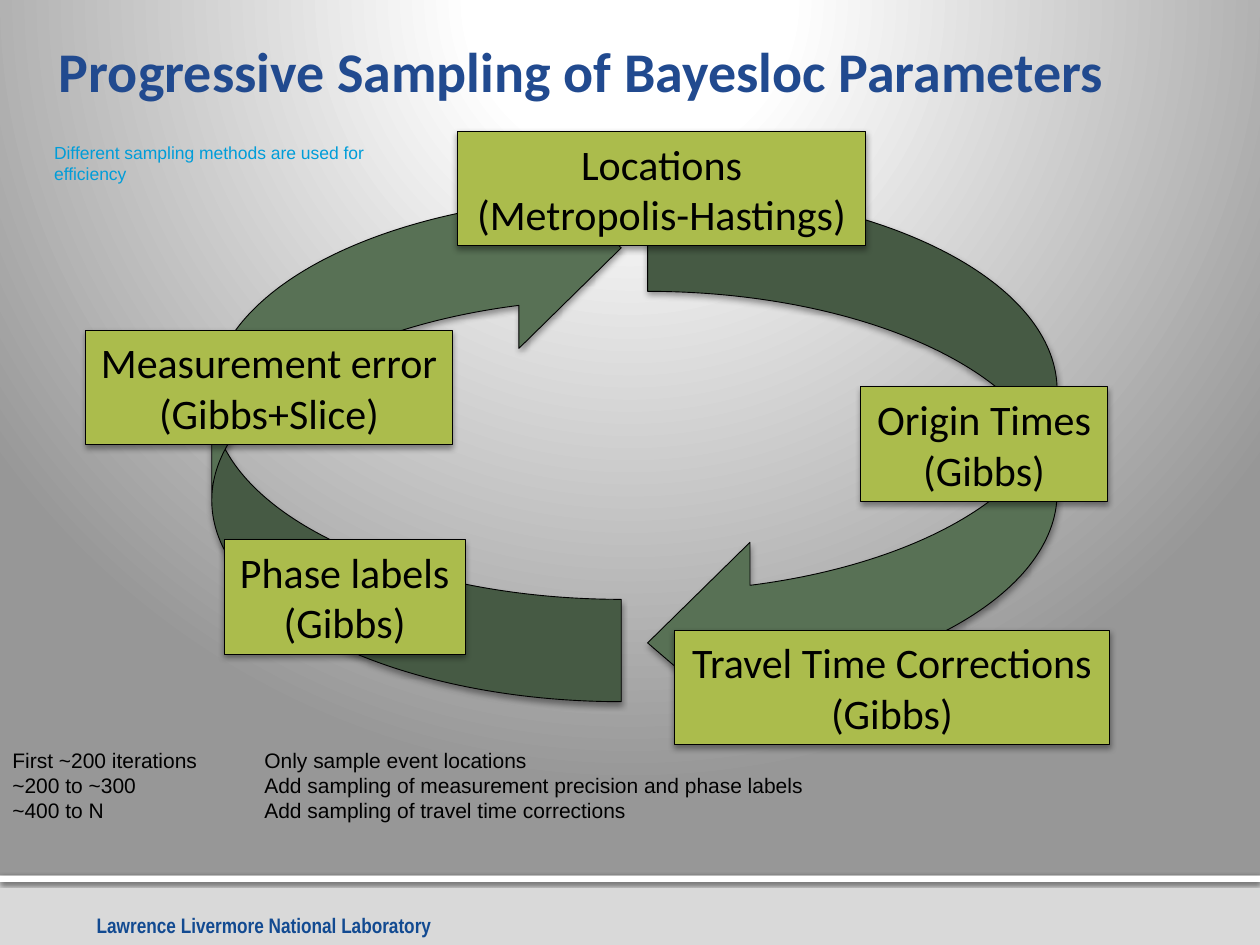
import dataclasses

import lxml.etree
import pptx
import pptx.dml.color
import pptx.enum.shapes
import pptx.enum.text
import pptx.oxml
import pptx.oxml.ns
import pptx.util

Pt = pptx.util.Pt
SHAPE = pptx.enum.shapes.MSO_SHAPE
ALIGN = pptx.enum.text.PP_ALIGN
ANCHOR = pptx.enum.text.MSO_ANCHOR
qn = pptx.oxml.ns.qn


@dataclasses.dataclass(frozen=True)
class Theme:
    title: str = "214A8F"
    footer: str = "124A91"
    note: str = "009DD9"
    ink: str = "000000"
    arrow: str = "587155"
    step: str = "ABBC4C"
    band: str = "D9D9D9"
    rule: str = "FFFFFF"
    glow: str = "FFFFFF"
    edge: str = "979797"
    title_size: float = 32
    step_size: float = 24
    body_size: float = 12
    note_size: float = 10
    outline: float = 0.5


THEME = Theme()
# Shadow settings: opacity in percent, blur and distance in points
SOFT_SHADOW = (38, 3.5, 2)
BAND_SHADOW = (38, 3.1, 2)
RULE_SHADOW = (60, 2.5, 0.8)

STEPS = [
    ("Locations\n(Metropolis-Hastings)", (261.4, 74.9, 233.3, 65.5)),
    ("Origin Times\n(Gibbs)", (491.8, 221, 141.1, 65.5)),
    ("Travel Time Corrections\n(Gibbs)", (385.2, 360, 249.1, 65.5)),
    ("Measurement error\n(Gibbs+Slice)", (49, 188.6, 209.5, 65.5)),
    ("Phase labels\n(Gibbs)", (128.2, 308.2, 137.5, 65.5)),
]
SCHEDULE = [
    ("First ~200 iterations", "Only sample event locations"),
    ("~200 to ~300", "Add sampling of measurement precision and phase labels"),
    ("~400 to N", "Add sampling of travel time corrections"),
]


def rgb(value):
    return pptx.dml.color.RGBColor.from_string(value)


def set_background(page):
    """Give the page a round gradient centred above its top edge."""
    stops = "".join(
        f'<a:gs pos="{position}"><a:srgbClr val="{color}"/></a:gs>'
        for position, color in [(0, THEME.glow), (20000, THEME.glow), (100000, THEME.edge)]
    )
    background = pptx.oxml.parse_xml(
        f'<p:bg {pptx.oxml.ns.nsdecls("p", "a")}><p:bgPr><a:gradFill rotWithShape="1">'
        f'<a:gsLst>{stops}</a:gsLst><a:path path="circle">'
        '<a:fillToRect l="10000" t="-25000" r="10000" b="125000"/></a:path>'
        "</a:gradFill><a:effectLst/></p:bgPr></p:bg>"
    )
    page.element.find(qn("p:cSld")).insert(0, background)


def add_shadow(shape, opacity, blur, distance):
    """Drop a black shadow straight down."""
    shape.shadow.inherit = False
    effects = shape.element.spPr.find(qn("a:effectLst"))
    shadow = lxml.etree.SubElement(
        effects, qn("a:outerShdw"), blurRad=str(Pt(blur)), dist=str(Pt(distance)),
        dir="5400000", rotWithShape="0",
    )
    color = lxml.etree.SubElement(shadow, qn("a:srgbClr"), val=THEME.ink)
    lxml.etree.SubElement(color, qn("a:alpha"), val=str(opacity * 1000))


def add_solid(page, kind, place, fill, shadow, outlined=True):
    shape = page.shapes.add_shape(kind, *map(Pt, place))
    shape.fill.solid()
    shape.fill.fore_color.rgb = rgb(fill)
    if outlined:
        shape.line.color.rgb = rgb(THEME.ink)
        shape.line.width = Pt(THEME.outline)
    else:
        shape.line.fill.background()
    add_shadow(shape, *shadow)
    return shape


def add_arrow(page, place, flip):
    arrow = add_solid(page, SHAPE.CURVED_RIGHT_ARROW, place, THEME.arrow, SOFT_SHADOW)
    for index, value in enumerate((0.25, 0.46, 0.25)):
        arrow.adjustments[index] = value
    arrow.element.spPr.find(qn("a:xfrm")).set(flip, "1")


def write(shape, text, font, size, color, bold=False, align=ALIGN.LEFT):
    shape.text_frame.text = text
    for para in shape.text_frame.paragraphs:
        para.alignment = align
        for span in para.runs:
            span.font.name = font
            span.font.size = Pt(size)
            span.font.bold = bold
            span.font.color.rgb = rgb(color)


def add_step(page, text, place):
    step = add_solid(page, SHAPE.RECTANGLE, place, THEME.step, SOFT_SHADOW)
    step.text_frame.word_wrap = False
    write(step, text, "Calibri", THEME.step_size, THEME.ink, align=ALIGN.CENTER)


def add_text(page, place, text, *style, anchor=ANCHOR.TOP, **options):
    box = page.shapes.add_textbox(*map(Pt, place))
    box.text_frame.word_wrap = True
    box.text_frame.vertical_anchor = anchor
    write(box, text, *style, **options)
    return box


def add_schedule(page):
    """List iteration ranges and what each one samples, aligned by a tab stop."""
    text = "\n".join("\t".join(row) for row in SCHEDULE)
    box = add_text(page, (0, 423.4, 655.2, 80), text, "Arial", THEME.body_size, THEME.ink)
    for para in box.text_frame.paragraphs:
        properties = para._p.get_or_add_pPr()
        tabs = lxml.etree.SubElement(properties, qn("a:tabLst"))
        lxml.etree.SubElement(tabs, qn("a:tab"), pos=str(Pt(144)), algn="l")


def add_footer(page):
    add_solid(page, SHAPE.RECTANGLE, (0, 500.4, 720, 39.6), THEME.band, BAND_SHADOW, False)
    add_solid(page, SHAPE.RECTANGLE, (0, 500.4, 720, 3.6), THEME.rule, RULE_SHADOW, False)
    add_text(page, (48.2, 517.7, 240.5, 21.6), "Lawrence Livermore National Laboratory",
             "Arial Narrow", THEME.body_size, THEME.footer, bold=True)


def main():
    deck = pptx.Presentation()
    deck.slide_width, deck.slide_height = Pt(720), Pt(540)
    page = deck.slides.add_slide(deck.slide_layouts[6])
    set_background(page)
    add_footer(page)
    add_arrow(page, (370.1, 108, 234, 313.2), "flipH")
    add_arrow(page, (121, 87.8, 234, 313.2), "flipV")
    add_text(page, (26.6, -9.4, 684, 98.6), "Progressive Sampling of Bayesloc Parameters",
             "Calibri", THEME.title_size, THEME.title, bold=True, anchor=ANCHOR.MIDDLE)
    for text, place in STEPS:
        add_step(page, text, place)
    add_schedule(page)
    add_text(page, (23.8, 77.8, 207.4, 72.7),
             "Different sampling methods are used for efficiency",
             "Arial", THEME.note_size, THEME.note)
    deck.save("out.pptx")


if __name__ == "__main__":
    main()
